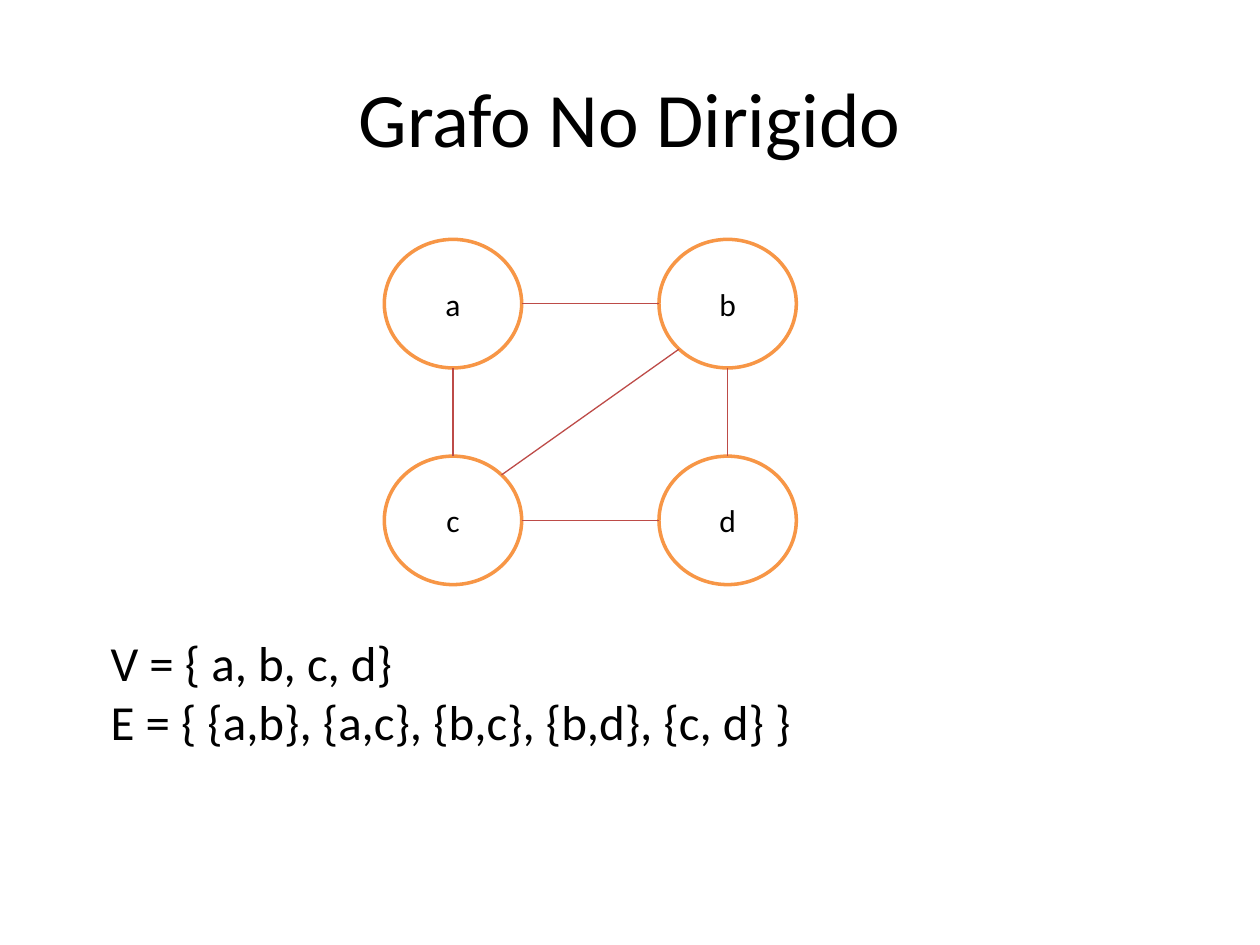
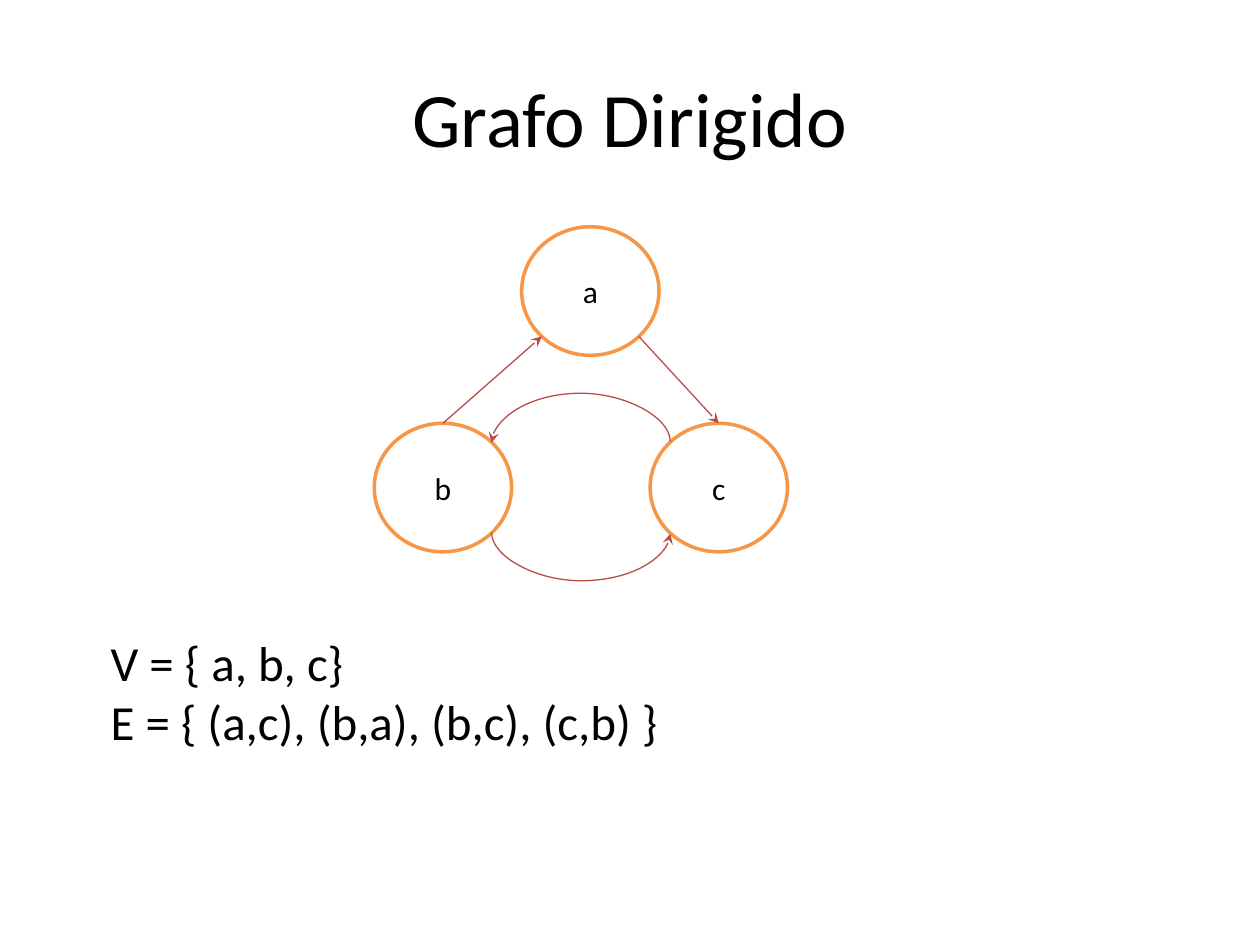
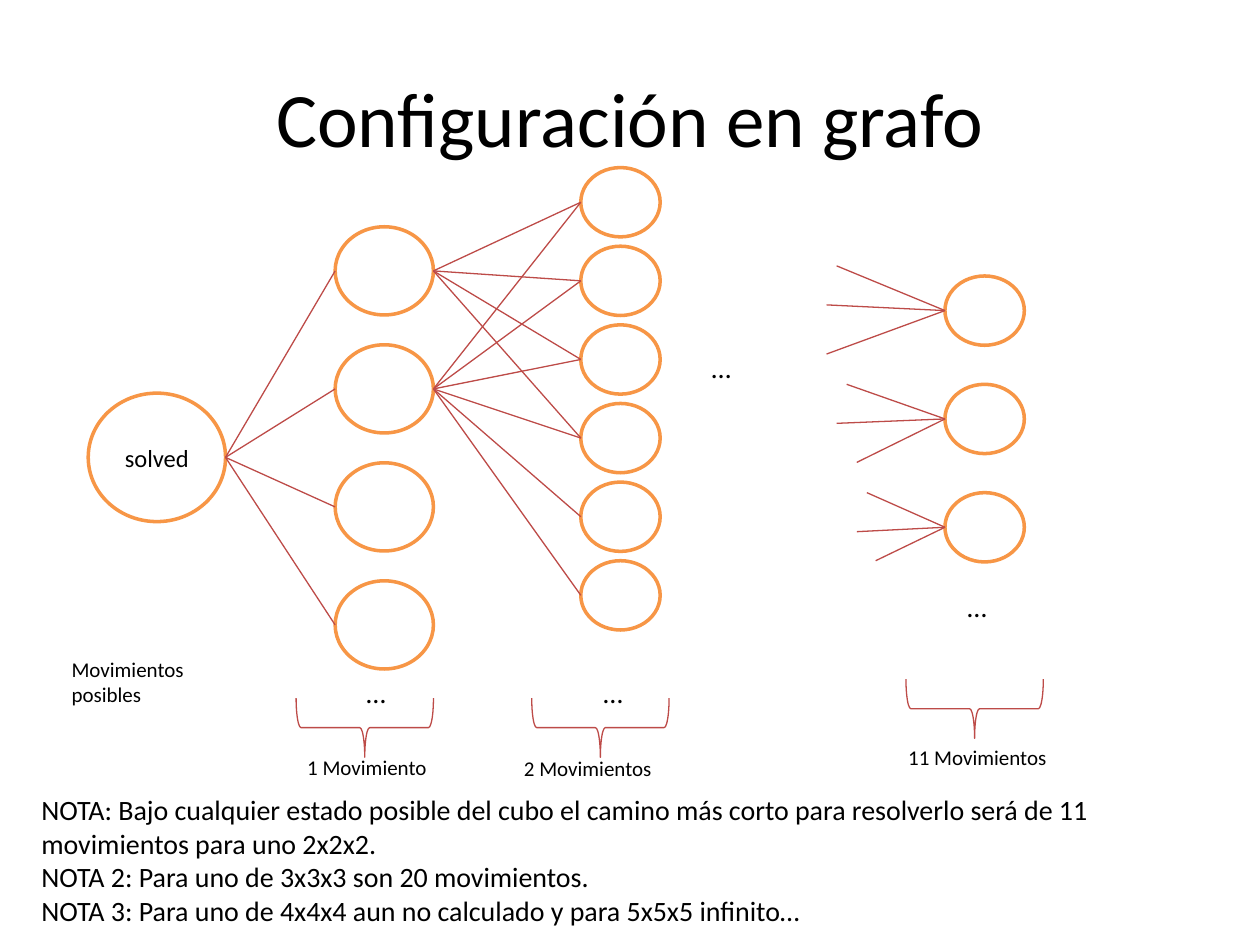
from dataclasses import dataclass
from math import cos, pi, sin

from lxml.etree import SubElement
from pptx import Presentation
from pptx.dml.color import RGBColor
from pptx.enum.shapes import MSO_CONNECTOR as Connector, MSO_SHAPE as Preset
from pptx.enum.text import MSO_ANCHOR as Anchor, PP_ALIGN as Align
from pptx.oxml.ns import qn
from pptx.shapes.autoshape import Shape
from pptx.shapes.connector import Connector as ConnectorShape
from pptx.slide import Slide
from pptx.util import Inches, Pt


@dataclass(frozen=True)
class Theme:
    font: str = "Calibri"
    ink: RGBColor = RGBColor(0x00, 0x00, 0x00)
    paper: RGBColor = RGBColor(0xFF, 0xFF, 0xFF)
    ring: RGBColor = RGBColor(0xF7, 0x96, 0x46)
    edge: RGBColor = RGBColor(0xBD, 0x4B, 0x48)
    ring_width: float = 2
    edge_width: float = 0.75
    title: float = 44
    sets: float = 28
    vertex: float = 18
    note: float = 16
    start: float = 14
    caption: float = 12


THEME = Theme()

TOP, TOP_LEFT, LEFT, BOTTOM_LEFT, BOTTOM, BOTTOM_RIGHT, RIGHT, TOP_RIGHT = range(8)


@dataclass(frozen=True)
class Box:
    left: float
    top: float
    width: float
    height: float

    def lengths(self) -> tuple:
        return tuple(Inches(v) for v in (self.left, self.top, self.width, self.height))


@dataclass(frozen=True)
class Vertex:
    box: Box
    shape: Shape

    def site(self, index: int) -> tuple[float, float]:
        angle = index * pi / 4
        box = self.box
        return (
            box.left + box.width / 2 * (1 - sin(angle)),
            box.top + box.height / 2 * (1 - cos(angle)),
        )


@dataclass(frozen=True)
class Column:
    left: float
    first: float
    last: float
    count: int
    width: float
    height: float

    def boxes(self) -> list[Box]:
        pitch = (self.last - self.first) / (self.count - 1)
        return [
            Box(self.left, self.first + i * pitch, self.width, self.height)
            for i in range(self.count)
        ]


@dataclass(frozen=True)
class Level:
    brace: Box
    caption: Box
    text: str


TITLE_BOX = Box(0.5, 0.3, 9, 1.25)
SETS_BOX = Box(0.78, 4.97, 8.36, 1.04)
VERTEX_SIZE = (1.09, 1.02)
BULGE = 0.39
CURVE_DEPTH = 0.01


def write_text(shape: Shape, text: str, *, size: float, align: Align = Align.LEFT,
               anchor: Anchor = Anchor.TOP) -> None:
    frame = shape.text_frame
    frame.word_wrap = True
    frame.vertical_anchor = anchor
    frame.text = text
    for paragraph in frame.paragraphs:
        paragraph.alignment = align
        font = paragraph.font
        font.name, font.size = THEME.font, Pt(size)
        font.color.rgb = THEME.ink


def add_text(slide: Slide, box: Box, text: str, **text_format) -> None:
    write_text(slide.shapes.add_textbox(*box.lengths()), text, **text_format)


def add_titled_slide(presentation: Presentation, title: str) -> Slide:
    slide = presentation.slides.add_slide(presentation.slide_layouts[6])
    add_text(slide, TITLE_BOX, title, size=THEME.title, align=Align.CENTER,
             anchor=Anchor.MIDDLE)
    return slide


def add_vertex(slide: Slide, box: Box, label: str = "",
               size: float = THEME.vertex) -> Vertex:
    shape = slide.shapes.add_shape(Preset.OVAL, *box.lengths())
    shape.shadow.inherit = False
    shape.fill.solid()
    shape.fill.fore_color.rgb = THEME.paper
    shape.line.color.rgb = THEME.ring
    shape.line.width = Pt(THEME.ring_width)
    if label:
        write_text(shape, label, size=size, align=Align.CENTER, anchor=Anchor.MIDDLE)
    return Vertex(box, shape)


def add_column(slide: Slide, column: Column) -> list[Vertex]:
    return [add_vertex(slide, box) for box in column.boxes()]


def add_line(slide: Slide, start: tuple[float, float], end: tuple[float, float], *,
             kind: Connector = Connector.STRAIGHT, arrow: bool = False) -> ConnectorShape:
    connector = slide.shapes.add_connector(kind, *(Inches(v) for v in (*start, *end)))
    connector.line.color.rgb = THEME.edge
    connector.line.width = Pt(THEME.edge_width)
    properties = connector._element.spPr
    if arrow:
        SubElement(properties.find(qn("a:ln")), qn("a:tailEnd"), type="stealth")
    SubElement(properties, qn("a:effectLst"))
    return connector


def glue(connector: ConnectorShape, tag: str, vertex: Vertex, site: int) -> None:
    links = connector._element.find(qn("p:nvCxnSpPr")).find(qn("p:cNvCxnSpPr"))
    SubElement(links, qn(tag), id=str(vertex.shape.shape_id), idx=str(site))


def join(slide: Slide, source: Vertex, source_site: int, target: Vertex,
         target_site: int, *, arrow: bool = False) -> None:
    connector = add_line(slide, source.site(source_site), target.site(target_site),
                         arrow=arrow)
    glue(connector, "a:stCxn", source, source_site)
    glue(connector, "a:endCxn", target, target_site)


def join_curved(slide: Slide, source: Vertex, source_site: int, target: Vertex,
                target_site: int) -> None:
    (start_x, y), (end_x, _) = source.site(source_site), target.site(target_site)
    middle, half_span = (start_x + end_x) / 2, abs(end_x - start_x) / 2
    direction = 1 if end_x > start_x else -1
    shift = direction * CURVE_DEPTH / 2
    connector = add_line(slide, (middle + shift, y - half_span),
                         (middle - shift, y + half_span),
                         kind=Connector.CURVE, arrow=True)
    properties = connector._element.spPr
    properties.find(qn("a:xfrm")).set("rot", str((180 + direction * 90) * 60000))
    adjustments = properties.find(qn("a:prstGeom")).find(qn("a:avLst"))
    ratio = round(direction * BULGE / CURVE_DEPTH * 100000)
    SubElement(adjustments, qn("a:gd"), name="adj1", fmla=f"val {ratio}")
    glue(connector, "a:stCxn", source, source_site)
    glue(connector, "a:endCxn", target, target_site)


def add_brace(slide: Slide, box: Box) -> None:
    brace = slide.shapes.add_shape(Preset.LEFT_BRACE, *box.lengths())
    brace.rotation = 270
    brace.shadow.inherit = False
    brace.fill.background()
    brace.line.color.rgb = THEME.edge
    brace.line.width = Pt(THEME.edge_width)


def build_undirected(presentation: Presentation) -> None:
    slide = add_titled_slide(presentation, "Grafo No Dirigido")
    corners = [(left, top) for top in (1.9, 3.62) for left in (3.05, 5.23)]
    a, b, c, d = (
        add_vertex(slide, Box(*corner, *VERTEX_SIZE), label)
        for corner, label in zip(corners, "abcd")
    )
    for upper, lower in ((b, d), (a, c)):
        join(slide, lower, TOP, upper, BOTTOM)
    for left, right in ((a, b), (c, d)):
        join(slide, right, LEFT, left, RIGHT)
    join(slide, b, BOTTOM_LEFT, c, TOP_RIGHT)
    add_text(slide, SETS_BOX,
             "V = { a, b, c, d}\nE = { {a,b}, {a,c}, {b,c}, {b,d}, {c, d} }",
             size=THEME.sets)


def build_directed(presentation: Presentation) -> None:
    slide = add_titled_slide(presentation, "Grafo Dirigido")
    corners = ((4.14, 1.8), (2.97, 3.36), (5.16, 3.36))
    a, b, c = (
        add_vertex(slide, Box(*corner, *VERTEX_SIZE), label)
        for corner, label in zip(corners, "abc")
    )
    join(slide, b, TOP, a, BOTTOM_LEFT, arrow=True)
    join(slide, a, BOTTOM_RIGHT, c, TOP, arrow=True)
    join_curved(slide, b, BOTTOM_RIGHT, c, BOTTOM_LEFT)
    join_curved(slide, c, TOP_LEFT, b, TOP_RIGHT)
    add_text(slide, SETS_BOX,
             "V = { a, b, c}\nE = { (a,c), (b,a), (b,c), (c,b) }",
             size=THEME.sets)


def build_configurations(presentation: Presentation) -> None:
    slide = add_titled_slide(presentation, "Configuración en grafo")
    solved = add_vertex(slide, Box(0.7, 3.12, *VERTEX_SIZE), "solved", THEME.start)
    one_move = add_column(slide, Column(2.66, 1.8, 4.61, 4, 0.78, 0.7))
    two_moves = add_column(slide, Column(4.61, 1.33, 4.45, 6, 0.63, 0.55))
    last_moves = add_column(slide, Column(7.5, 2.19, 3.91, 3, 0.63, 0.55))

    fans = (
        (solved, one_move),
        (one_move[0], two_moves[:4]),
        (one_move[1], two_moves),
    )
    for source, targets in fans:
        for target in targets:
            join(slide, target, LEFT, source, RIGHT)

    loose_ends = (
        ((6.64, 2.11), (6.56, 2.42), (6.56, 2.81)),
        ((6.72, 3.05), (6.64, 3.36), (6.8, 3.67)),
        ((6.88, 3.91), (6.8, 4.22), (6.95, 4.45)),
    )
    for vertex, ends in zip(last_moves, loose_ends):
        for end in ends:
            connector = add_line(slide, vertex.site(LEFT), end)
            glue(connector, "a:stCxn", vertex, LEFT)

    levels = (
        Level(Box(2.66, 5.23, 0.47, 1.09), Box(2.34, 5.94, 1.17, 0.3), "1 Movimiento"),
        Level(Box(4.53, 5.23, 0.47, 1.09), Box(4.06, 5.95, 1.25, 0.3), "2 Movimientos"),
        Level(Box(7.5, 5.08, 0.47, 1.09), Box(7.11, 5.86, 1.41, 0.3), "11 Movimientos"),
    )
    for level in levels:
        add_brace(slide, level.brace)
        add_text(slide, level.caption, level.text, size=THEME.caption)
    add_text(slide, Box(0.47, 5.16, 1.17, 0.5), "Movimientos posibles",
             size=THEME.caption)

    for left, top in ((2.81, 5.31), (4.69, 5.31), (5.55, 2.73), (7.58, 4.63)):
        add_text(slide, Box(left, top, 0.55, 0.37), "…", size=THEME.note)

    notes = (
        "NOTA: Bajo cualquier estado posible del cubo el camino más corto para "
        "resolverlo será de 11 movimientos para uno 2x2x2.",
        "NOTA 2: Para uno de 3x3x3 son 20 movimientos.",
        "NOTA 3: Para uno de 4x4x4 aun no calculado y para 5x5x5 infinito…",
    )
    add_text(slide, Box(0.23, 6.24, 9.61, 1.18), "\n".join(notes), size=THEME.note)


def main() -> None:
    presentation = Presentation()
    presentation.slide_width, presentation.slide_height = Inches(10), Inches(7.5)
    build_undirected(presentation)
    build_directed(presentation)
    build_configurations(presentation)
    presentation.save("out.pptx")


if __name__ == "__main__":
    main()
